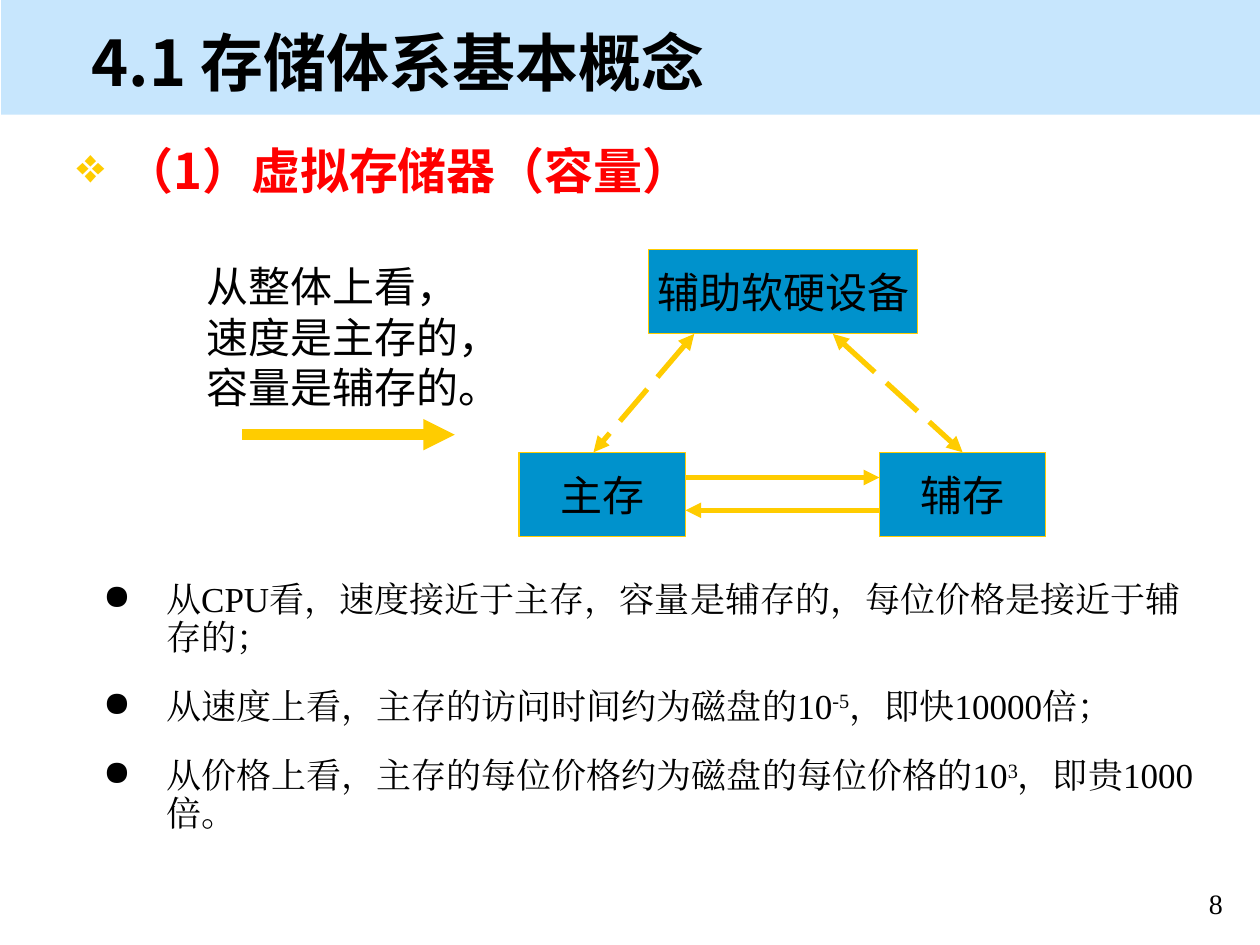
from dataclasses import dataclass

from lxml.etree import SubElement
from pptx import Presentation
from pptx.dml.color import RGBColor
from pptx.enum.dml import MSO_LINE
from pptx.enum.shapes import MSO_CONNECTOR, MSO_SHAPE
from pptx.enum.text import MSO_ANCHOR, PP_ALIGN
from pptx.oxml.ns import qn
from pptx.util import Inches, Pt


@dataclass(frozen=True)
class Theme:
    black: str = "000000"
    red: str = "FF0000"
    gold: str = "FFCC00"
    blue: str = "0092CC"
    band: str = "C7E6FD"
    sans: str = "Noto Sans CJK SC"
    serif: str = "Times New Roman"
    label: str = "Cabin"
    title_size: int = 36
    heading_size: int = 28
    label_size: int = 24
    body_size: int = 20
    number_size: int = 16


THEME = Theme()
TOP = 0


def set_all(target, values):
    for name, value in values.items():
        setattr(target, name, value)


def add_span(para, text, font, size, color=THEME.black, bold=False, raised=False):
    span = para.add_run()
    span.text = text
    set_all(span.font, {"name": font, "size": Pt(size), "bold": bold})
    span.font.color.rgb = RGBColor.from_string(color)
    properties = span._r.get_or_add_rPr()
    SubElement(properties, qn("a:ea"), typeface=font)
    if raised:
        properties.set("baseline", "30000")


def add_bullet(para, mark, indent, color=THEME.black):
    """Give the paragraph a hanging bullet; indent is (left margin, hang) in inches."""
    margin, hang = indent
    properties = para._p.get_or_add_pPr()
    properties.set("marL", str(Inches(margin)))
    properties.set("indent", str(-Inches(hang)))
    bullet_color = SubElement(properties, qn("a:buClr"))
    SubElement(bullet_color, qn("a:srgbClr"), val=color)
    SubElement(properties, qn("a:buChar"), char=mark)


def add_text_box(page, place, wrap=True, anchor=MSO_ANCHOR.TOP):
    frame = page.shapes.add_textbox(*map(Inches, place)).text_frame
    set_all(frame, {"word_wrap": wrap, "vertical_anchor": anchor})
    return frame


def paragraphs(frame, count):
    return [frame.paragraphs[0]] + [frame.add_paragraph() for _ in range(count - 1)]


def add_rectangle(page, place, fill, line=None):
    box = page.shapes.add_shape(MSO_SHAPE.RECTANGLE, *map(Inches, place))
    box.shadow.inherit = False
    box.fill.solid()
    box.fill.fore_color.rgb = RGBColor.from_string(fill)
    if line:
        box.line.color.rgb = RGBColor.from_string(line)
        box.line.width = Pt(0.75)
    else:
        box.line.fill.background()
    return box


def add_node(page, text, left, top, width):
    box = add_rectangle(page, (left, top, width, 0.67), THEME.blue, THEME.gold)
    frame = box.text_frame
    set_all(frame, {"word_wrap": False, "vertical_anchor": MSO_ANCHOR.MIDDLE})
    para = frame.paragraphs[0]
    para.alignment = PP_ALIGN.CENTER
    add_span(para, text, THEME.label, THEME.label_size)
    return box


def add_arrow(page, start, end, width=3, two_way=False):
    """Draw a gold arrow; a two-way arrow is dashed."""
    arrow = page.shapes.add_connector(MSO_CONNECTOR.STRAIGHT, *map(Inches, start + end))
    arrow.line.color.rgb = RGBColor.from_string(THEME.gold)
    arrow.line.width = Pt(width)
    if two_way:
        arrow.line.dash_style = MSO_LINE.LONG_DASH
    outline = arrow.line._get_or_add_ln()
    for tag in ("a:headEnd", "a:tailEnd") if two_way else ("a:tailEnd",):
        SubElement(outline, qn(tag), type="triangle")
    SubElement(arrow._element.spPr, qn("a:effectLst"))
    return arrow


def add_frame(page):
    """Add the title band, the title, the section heading and the page number."""
    add_rectangle(page, (0.01, 0, 9.99, 0.91), THEME.band)
    title = add_text_box(page, (0.63, 0.15, 8.58, 0.67), anchor=MSO_ANCHOR.MIDDLE)
    add_span(title.paragraphs[0], "4.1 存储体系基本概念", THEME.sans,
             THEME.title_size, bold=True)

    heading = add_text_box(page, (0.51, 1.12, 9, 1.49)).paragraphs[0]
    add_bullet(heading, "❖", (0.38, 0.38), THEME.gold)
    set_all(heading, {"line_spacing": 0.9, "space_after": Pt(6)})
    add_span(heading, "（1）虚拟存储器（容量）", THEME.sans, THEME.heading_size,
             THEME.red, bold=True)

    number = add_text_box(page, (9.3, 6.99, 0.7, 0.33)).paragraphs[0]
    number.alignment = PP_ALIGN.CENTER
    add_span(number, "8", THEME.serif, THEME.number_size)


def add_diagram(page):
    lower_top, upper_bottom = 3.59, 2.65
    add_node(page, "主存", 4.12, lower_top, 1.32)
    auxiliary = add_node(page, "辅存", 6.98, lower_top, 1.32)
    add_node(page, "辅助软硬设备", 5.15, 1.98, 2.13)

    add_arrow(page, (5.44, 3.79), (6.98, 3.79))
    add_arrow(page, (6.98, 4.05), (5.44, 4.05))
    add_arrow(page, (5.51, upper_bottom), (4.71, lower_top), two_way=True)
    to_auxiliary = add_arrow(page, (6.61, upper_bottom), (7.64, lower_top), two_way=True)
    to_auxiliary.end_connect(auxiliary, TOP)

    lines = ("从整体上看，", "速度是主存的，", "容量是辅存的。")
    note = add_text_box(page, (1.54, 2.02, 2.53, 1.3), wrap=False)
    for para, line in zip(paragraphs(note, len(lines)), lines):
        para.alignment = PP_ALIGN.LEFT
        add_span(para, line, THEME.label, THEME.label_size)
    add_arrow(page, (1.92, 3.45), (3.61, 3.45), width=6)


def add_points(page):
    """Add the bullet list; every second part of a point is an exponent."""
    points = (
        ("从CPU看，速度接近于主存，容量是辅存的，每位价格是接近于辅存的；",),
        ("从速度上看，主存的访问时间约为磁盘的10", "-5", "，即快10000倍；"),
        ("从价格上看，主存的每位价格约为磁盘的每位价格的10", "3", "，即贵1000倍。"),
    )
    frame = add_text_box(page, (0.22, 4.57, 9.4, 2.12))
    for index, (para, parts) in enumerate(zip(paragraphs(frame, len(points)), points)):
        add_bullet(para, "●", (1, 0.5))
        set_all(para, {"line_spacing": 0.9, "space_before": Pt(18 if index else 0)})
        for position, part in enumerate(parts):
            add_span(para, part, THEME.serif, THEME.body_size, raised=position % 2 == 1)


def main():
    deck = Presentation()
    set_all(deck, {"slide_width": Inches(10), "slide_height": Inches(7.5)})
    page = deck.slides.add_slide(deck.slide_layouts[6])
    add_frame(page)
    add_points(page)
    add_diagram(page)
    deck.save("out.pptx")


if __name__ == "__main__":
    main()
